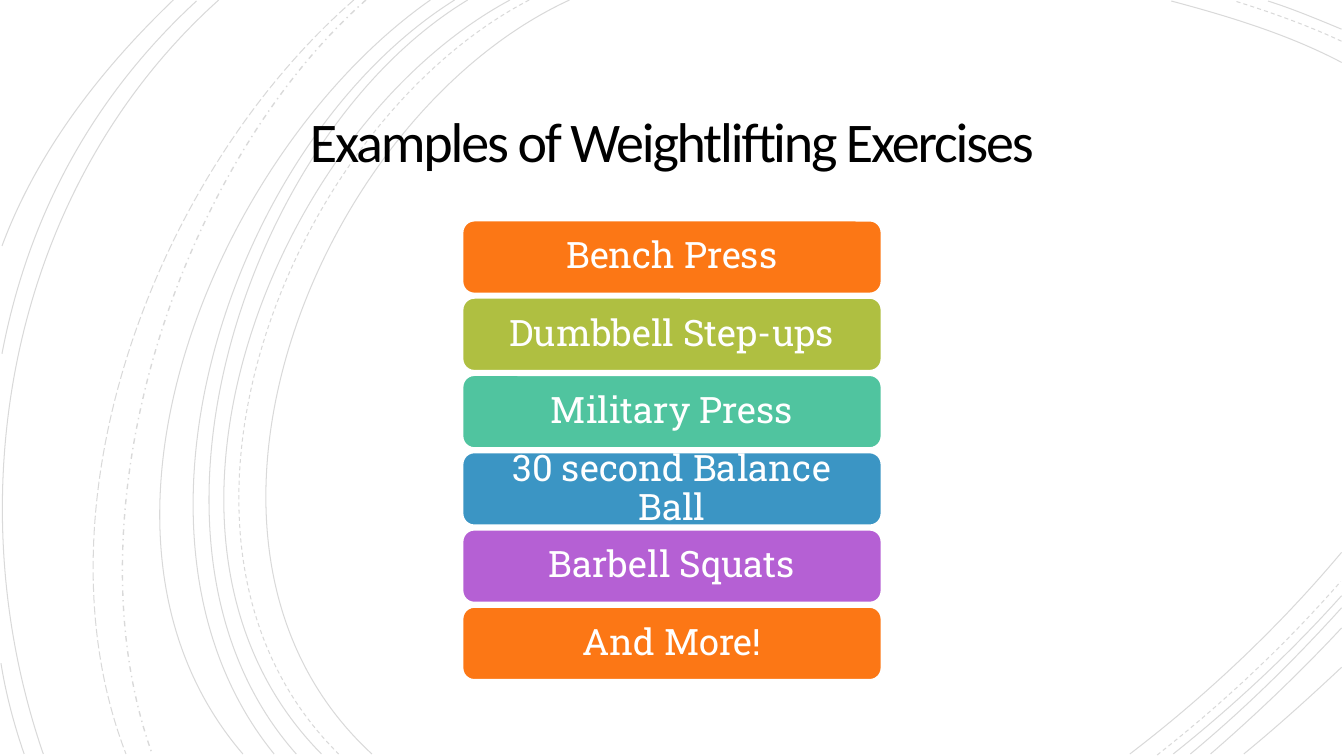
"""Build a slide that lists weightlifting exercises on a field of fine arcs."""
from dataclasses import dataclass

from lxml.etree import SubElement
from pptx import Presentation
from pptx.dml.color import RGBColor
from pptx.enum.dml import MSO_LINE
from pptx.enum.shapes import MSO_SHAPE
from pptx.enum.text import MSO_ANCHOR, PP_ALIGN
from pptx.oxml.ns import qn
from pptx.slide import Slide
from pptx.text.text import TextFrame
from pptx.util import Emu, Inches, Pt

COLS = 80
WIDE, HIGH = Inches(40 / 3), Inches(7.5)


@dataclass(frozen=True)
class Theme:
    paper: str = "FFFFFF"
    ink: str = "000000"
    fills: tuple[str, ...] = ("FC7715", "AFBF41", "50C49F", "3B95C4", "B560D4")
    head_font: str = "Calibri"
    card_font: str = "Roboto Slab"
    head_size: float = 40
    card_size: float = 26
    edge: float = 2
    alpha: int = 15


@dataclass(frozen=True)
class Box:
    left: float
    top: float
    width: float
    height: float


@dataclass(frozen=True)
class Arc:
    points: tuple[tuple[float, float], ...]
    dash: MSO_LINE = MSO_LINE.SOLID
    weight: float = 0.75


@dataclass(frozen=True)
class Style:
    font: str
    size: float
    color: str
    leading: float
    pad: tuple[float, float]


THEME = Theme()
HEAD = "Examples of Weightlifting Exercises"
HEAD_BOX = Box(11.52, 5.22, 56.94, 6.9)
HEAD_STYLE = Style(THEME.head_font, THEME.head_size, THEME.ink, 0.85, (1.5, 1.5))
CARDS = ("Bench Press", "Dumbbell Step-ups", "Military Press",
         "30 second Balance Ball", "Barbell Squats", "And More!")
CARD_BOX = Box(27.5, 13.1, 25, 4.4)
CARD_STYLE = Style(THEME.card_font, THEME.card_size, THEME.paper, 0.9, (0.66, 0.3))
PITCH = 4.6

ARCS = (
    Arc(((33.9, 0), (18.9, 6.9), (8.58, 32.4), (22.14, 44.88))),
    Arc(((79.86, 3.72), (76.68, 2.04), (73.08, 0.96), (69.72, 0.06))),
    Arc(((67.26, 44.88), (71.82, 41.4), (76.14, 37.32), (79.86, 32.88))),
    Arc(((31.5, 0), (17.1, 7.5), (7.38, 32.22), (20.16, 44.88)), MSO_LINE.DASH),
    Arc(((79.86, 2.46), (77.82, 1.5), (75.6, 0.72), (73.5, 0.06)), MSO_LINE.DASH),
    Arc(((68.88, 44.94), (72.78, 41.88), (76.5, 38.4), (79.8, 34.62)), MSO_LINE.DASH),
    Arc(((30.36, 0), (16.2, 7.62), (6.6, 32.22), (19.14, 44.88))),
    Arc(((79.86, 1.74), (78.42, 1.14), (76.98, 0.54), (75.48, 0.06))),
    Arc(((69.84, 44.88), (73.38, 42.06), (76.8, 38.88), (79.86, 35.46))),
    Arc(((27.84, 0), (14.64, 7.98), (6.6, 32.46), (17.64, 44.88))),
    Arc(((70.86, 44.88), (74.04, 42.24), (77.04, 39.3), (79.86, 36.18))),
    Arc(((27.06, 0), (13.86, 8.28), (5.82, 31.98), (16.32, 44.88))),
    Arc(((72.06, 44.88), (74.76, 42.54), (77.4, 40.02), (79.86, 37.38))),
    Arc(((25.62, 0), (13.02, 8.82), (3.18, 31.74), (14.46, 44.88))),
    Arc(((74.04, 44.88), (76.02, 43.26), (77.94, 41.52), (79.86, 39.72))),
    Arc(((21.78, 0), (10.56, 9.96), (3.9, 30.54), (9.06, 44.88)), MSO_LINE.DASH_DOT, 1),
    Arc(((21.06, 0), (9.42, 10.14), (1.74, 29.94), (7.5, 44.88)), MSO_LINE.LONG_DASH),
    Arc(((13.02, 0), (0.66, 11.1), (-2.76, 29.4), (2.58, 44.88))),
    Arc(((11.7, 0.06), (5.52, 5.76), (1.68, 12.84), (0.12, 21.06))),
    Arc(((0.06, 39.48), (0.36, 41.34), (0.84, 43.14), (1.44, 44.88))),
    Arc(((10.32, 0), (6, 4.14), (2.22, 9), (0.12, 14.64))),
)


def cell(count: float) -> Emu:
    return Emu(round(count * WIDE / COLS))


def place(box: Box) -> tuple[Emu, Emu, Emu, Emu]:
    return cell(box.left), cell(box.top), cell(box.width), cell(box.height)


def write(frame: TextFrame, text: str, style: Style) -> None:
    frame.text = text
    frame.word_wrap = True
    frame.vertical_anchor = MSO_ANCHOR.MIDDLE
    frame.margin_left = frame.margin_right = cell(style.pad[0])
    frame.margin_top = frame.margin_bottom = cell(style.pad[1])
    line = frame.paragraphs[0]
    line.alignment = PP_ALIGN.CENTER
    line.line_spacing = style.leading
    font = line.runs[0].font
    font.name, font.size = style.font, Pt(style.size)
    font.color.rgb = RGBColor.from_string(style.color)


def draw_arc(slide: Slide, arc: Arc) -> None:
    start, *rest = [(cell(x), cell(y)) for x, y in arc.points]
    pen = slide.shapes.build_freeform(*start)
    pen.add_line_segments(rest, close=False)
    shape = pen.convert_to_shape()
    shape.shadow.inherit = False
    shape.fill.background()
    shape.line.color.rgb = RGBColor.from_string(THEME.ink)
    shape.line.width = Pt(arc.weight)
    shape.line.dash_style = arc.dash
    tint = shape.line._ln.find(".//" + qn("a:srgbClr"))
    SubElement(tint, qn("a:alpha")).set("val", str(THEME.alpha * 1000))
    legs = list(shape._element.iter(qn("a:lnTo")))
    curve = SubElement(legs[0].getparent(), qn("a:cubicBezTo"))
    for leg in legs:
        curve.append(leg[0])
        leg.getparent().remove(leg)


def draw_head(slide: Slide) -> None:
    frame = slide.shapes.add_textbox(*place(HEAD_BOX)).text_frame
    write(frame, HEAD, HEAD_STYLE)
    frame.paragraphs[0].runs[0].font._element.set("spc", "-150")


def draw_card(slide: Slide, row: int, text: str) -> None:
    box = Box(CARD_BOX.left, CARD_BOX.top + row * PITCH, CARD_BOX.width, CARD_BOX.height)
    shape = slide.shapes.add_shape(MSO_SHAPE.ROUNDED_RECTANGLE, *place(box))
    shape.shadow.inherit = False
    shape.fill.solid()
    shape.fill.fore_color.rgb = RGBColor.from_string(THEME.fills[row % len(THEME.fills)])
    shape.line.color.rgb = RGBColor.from_string(THEME.paper)
    shape.line.width = Pt(THEME.edge)
    write(shape.text_frame, text, CARD_STYLE)


def main() -> None:
    deck = Presentation()
    deck.slide_width, deck.slide_height = WIDE, HIGH
    slide = deck.slides.add_slide(deck.slide_layouts[6])
    slide.background.fill.solid()
    slide.background.fill.fore_color.rgb = RGBColor.from_string(THEME.paper)
    for arc in ARCS:
        draw_arc(slide, arc)
    draw_head(slide)
    for row, text in enumerate(CARDS):
        draw_card(slide, row, text)
    deck.save("out.pptx")


if __name__ == "__main__":
    main()
